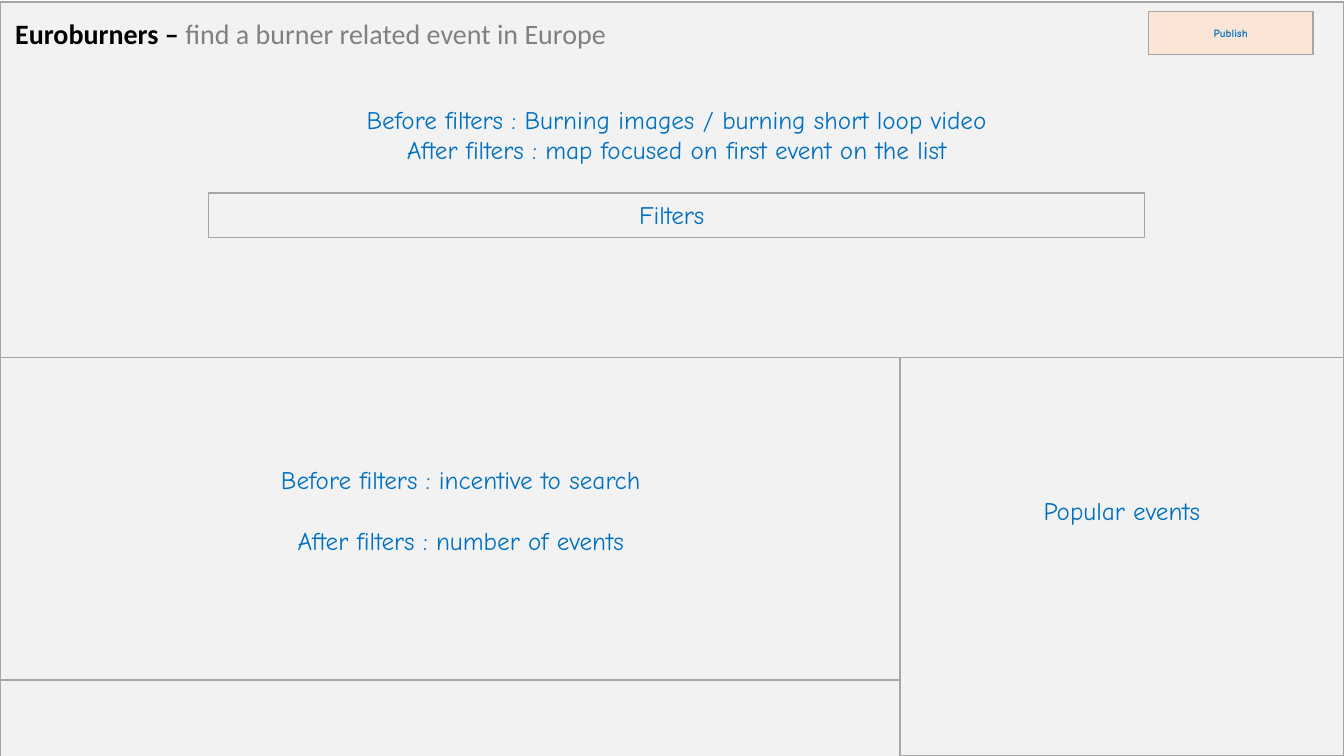
from dataclasses import dataclass

from lxml.etree import SubElement
from pptx import Presentation
from pptx.dml.color import RGBColor
from pptx.enum.shapes import MSO_CONNECTOR, MSO_SHAPE
from pptx.enum.text import MSO_ANCHOR, MSO_AUTO_SIZE, PP_ALIGN
from pptx.oxml.ns import qn
from pptx.util import Pt


@dataclass(frozen=True)
class Theme:
    panel: str = "F2F2F2"
    button: str = "FBE5D6"
    border: str = "A6A6A6"
    note: str = "0070C0"
    name: str = "000000"
    tagline: str = "808080"
    title_font: str = "Calibri"
    note_font: str = "Comic Neue"
    title_size: float = 20
    note_size: float = 18
    button_size: float = 8


THEME = Theme()

# Page regions, in points
WIDTH, HEIGHT = 960, 540
HEADER_TOP, HEADER_BOTTOM = 1.4, 255.4
MAIN_WIDTH, MAIN_HEIGHT = 643, 230.4
NOTE_LINE = 21.8

TITLE_BOX = (3.6, 8.4, 447.1, 31.5)
TITLE_RUNS = [
    ("Euroburners – ", True, THEME.name),
    ("find a burner related event in Europe", False, THEME.tagline),
]
PANELS = [
    (0, HEADER_BOTTOM + MAIN_HEIGHT, MAIN_WIDTH, MAIN_HEIGHT),
    (0, HEADER_TOP, WIDTH, HEADER_BOTTOM - HEADER_TOP),
    (149, 138, 668.5, 31.8),
    (0, HEADER_BOTTOM, MAIN_WIDTH, MAIN_HEIGHT),
    (MAIN_WIDTH, HEADER_BOTTOM, WIDTH - MAIN_WIDTH, HEIGHT - HEADER_BOTTOM),
]
BUTTON = ("Publish", (820.5, 8.2, 117.3, 30.7))
# Box, space between paragraphs, paragraphs
NOTES = [
    ((447.8, 138.5, 64.1, 29.1), 0, ["Filters"]),
    ((250, 70.9, 466.6, 50.9), 0, [
        "Before filters : Burning images / burning short loop video",
        "After filters : map focused on first event on the list",
    ]),
    ((187.6, 328.2, 283, 72.7), NOTE_LINE, [
        "Before filters : incentive to search",
        "After filters : number of events",
    ]),
    ((733.7, 349.9, 135.4, 29.1), 0, ["Popular events"]),
]


def color(value):
    return RGBColor.from_string(value)


def format_font(font, name, size, fill, bold=False):
    for key, value in {"name": name, "size": Pt(size), "bold": bold}.items():
        setattr(font, key, value)
    font.color.rgb = color(fill)


def format_frame(frame, **values):
    for key, value in values.items():
        setattr(frame, key, value)


def add_panel(slide, box, fill):
    shape = slide.shapes.add_shape(MSO_SHAPE.RECTANGLE, *map(Pt, box))
    shape.shadow.inherit = False
    shape.fill.solid()
    shape.fill.fore_color.rgb = color(fill)
    shape.line.color.rgb = color(THEME.border)
    shape.line.width = Pt(1)
    return shape


def add_divider(slide, y):
    line = slide.shapes.add_connector(
        MSO_CONNECTOR.STRAIGHT, 0, Pt(y), Pt(WIDTH), Pt(y))
    line.line.color.rgb = color(THEME.border)
    line.line.width = Pt(1)
    SubElement(line.element.spPr, qn("a:effectLst"))


def add_button(slide, text, box):
    frame = add_panel(slide, box, THEME.button).text_frame
    format_frame(frame, vertical_anchor=MSO_ANCHOR.MIDDLE,
                 margin_top=0, margin_bottom=0)
    paragraph = frame.paragraphs[0]
    paragraph.text = text
    paragraph.alignment = PP_ALIGN.CENTER
    format_font(paragraph.font, THEME.note_font, THEME.button_size, THEME.note, True)


def add_note(slide, box, gap, lines):
    frame = slide.shapes.add_textbox(*map(Pt, box)).text_frame
    format_frame(frame, word_wrap=False, auto_size=MSO_AUTO_SIZE.SHAPE_TO_FIT_TEXT)
    for index, text in enumerate(lines):
        paragraph = frame.add_paragraph() if index else frame.paragraphs[0]
        paragraph.text = text
        paragraph.alignment = PP_ALIGN.CENTER
        if index and gap:
            paragraph.space_before = Pt(gap)
        format_font(paragraph.font, THEME.note_font, THEME.note_size, THEME.note)


def place_title(slide):
    """Fill the title placeholder and bring it in front of the panels."""
    title = slide.shapes.title
    for key, value in zip(("left", "top", "width", "height"), TITLE_BOX):
        setattr(title, key, Pt(value))
    format_frame(title.text_frame, word_wrap=False, vertical_anchor=MSO_ANCHOR.TOP,
                 auto_size=MSO_AUTO_SIZE.SHAPE_TO_FIT_TEXT)
    paragraph = title.text_frame.paragraphs[0]
    paragraph.alignment = PP_ALIGN.LEFT
    for text, bold, fill in TITLE_RUNS:
        run = paragraph.add_run()
        run.text = text
        format_font(run.font, THEME.title_font, THEME.title_size, fill, bold)
    title.element.getparent().append(title.element)


def main():
    presentation = Presentation()
    presentation.slide_width, presentation.slide_height = Pt(WIDTH), Pt(HEIGHT)
    slide = presentation.slides.add_slide(presentation.slide_layouts[5])
    for box in PANELS:
        add_panel(slide, box, THEME.panel)
    add_divider(slide, HEADER_BOTTOM)
    add_button(slide, *BUTTON)
    for note in NOTES:
        add_note(slide, *note)
    place_title(slide)
    presentation.save("out.pptx")


if __name__ == "__main__":
    main()
